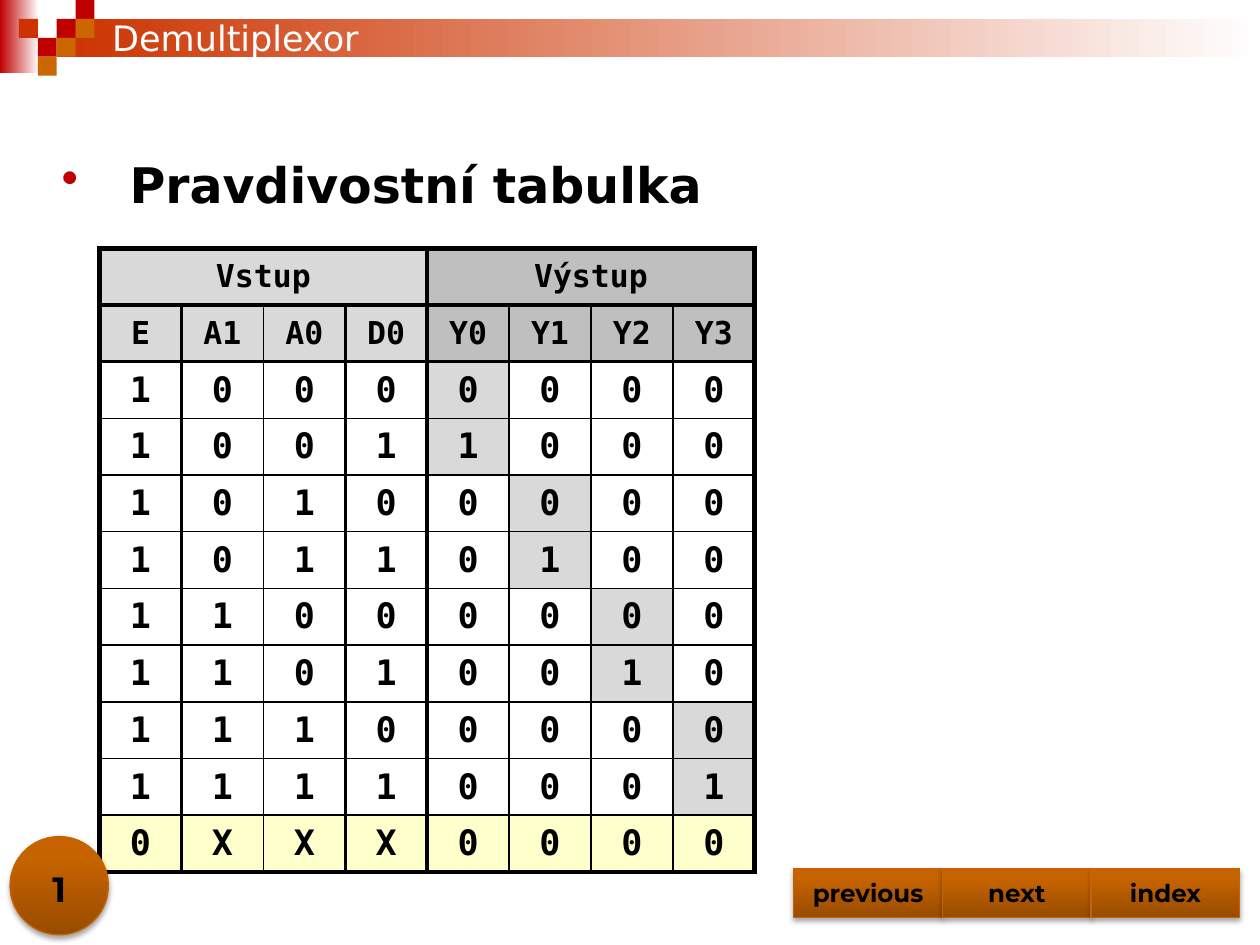
import itertools
from dataclasses import dataclass

import lxml.etree
import pptx
import pptx.dml.color
import pptx.enum.shapes
import pptx.enum.text
import pptx.oxml
import pptx.oxml.ns
import pptx.presentation
import pptx.shapes.autoshape
import pptx.shapes.base
import pptx.slide
import pptx.table
import pptx.text.text
import pptx.util

SLIDE_WIDTH = pptx.util.Inches(10)
SLIDE_HEIGHT = pptx.util.Inches(7.5)
SHAPES = pptx.enum.shapes.MSO_SHAPE
ALIGN = pptx.enum.text.PP_ALIGN
ANCHOR = pptx.enum.text.MSO_ANCHOR
NAMESPACE = pptx.oxml.ns.nsdecls("a")
COLUMN, ROW = 6.5, 6
PIXEL_WIDTH, PIXEL_HEIGHT = 1.5, 2
TABLE_LEFT, TABLE_TOP = 7.9, 26.27
BUTTON_WIDTH = 11.8
ROW_EDGES = [3, 2.25, 2.25, *[1] * 8, 3]
ORANGE_STOPS = [(0, "984C00"), (80, "C66300"), (100, "C76300")]


@dataclass
class Box:
    """Position and size in percent of the slide."""
    left: float
    top: float
    width: float
    height: float


@dataclass
class Style:
    font: str
    size: float
    color: str = "000000"
    bold: bool = True


@dataclass
class Pixel:
    column: int
    row: int
    color: str


@dataclass
class Half:
    heading: str
    names: list[str]
    values: list[list[str]]
    header_color: str
    column_edges: list[float]
    marks_address: bool


PIXELS = [
    Pixel(3, 1, "C00000"), Pixel(4, 0, "C00000"), Pixel(4, 1, "CC6600"),
    Pixel(2, 2, "C00000"), Pixel(1, 1, "CC3300"), Pixel(3, 2, "CC6600"),
    Pixel(2, 3, "CC6600"),
]
BUTTON_STYLE = Style("Montserrat", 14)


def rgb(color: str) -> pptx.dml.color.RGBColor:
    return pptx.dml.color.RGBColor.from_string(color)


def lengths(box: Box) -> tuple[int, int, int, int]:
    return (int(SLIDE_WIDTH * box.left / 100), int(SLIDE_HEIGHT * box.top / 100),
            int(SLIDE_WIDTH * box.width / 100), int(SLIDE_HEIGHT * box.height / 100))


def write(frame: pptx.text.text.TextFrame, text: str, style: Style,
          align: ALIGN = ALIGN.CENTER, anchor: ANCHOR = ANCHOR.MIDDLE) -> None:
    frame.word_wrap = True
    frame.vertical_anchor = anchor
    para = frame.paragraphs[0]
    para.alignment = align
    span = para.add_run()
    span.text = text
    span.font.name = style.font
    span.font.size = pptx.util.Pt(style.size)
    span.font.bold = style.bold
    span.font.color.rgb = rgb(style.color)


def add_block(page: pptx.slide.Slide, kind: SHAPES, box: Box) -> pptx.shapes.autoshape.Shape:
    shape = page.shapes.add_shape(kind, *lengths(box))
    shape.shadow.inherit = False
    shape.line.fill.background()
    return shape


def fill_gradient(shape: pptx.shapes.autoshape.Shape, stops: list[tuple[int, str]],
                  clockwise: int) -> None:
    shape.fill.gradient()
    gradient = shape._element.spPr.find(pptx.oxml.ns.qn("a:gradFill"))
    stop_list = gradient.find(pptx.oxml.ns.qn("a:gsLst"))
    for stop in list(stop_list):
        stop_list.remove(stop)
    for place, color in stops:
        stop_list.append(pptx.oxml.parse_xml(
            f'<a:gs {NAMESPACE} pos="{place * 1000}"><a:srgbClr val="{color}"/></a:gs>'))
    gradient.find(pptx.oxml.ns.qn("a:lin")).set("ang", str(clockwise * 60000))


def add_orange(page: pptx.slide.Slide, kind: SHAPES, box: Box) -> pptx.shapes.autoshape.Shape:
    shape = add_block(page, kind, box)
    fill_gradient(shape, ORANGE_STOPS, 270)
    shape.line.color.rgb = rgb("C86400")
    shape.line.width = pptx.util.Pt(0.75)
    effects = shape._element.spPr.find(pptx.oxml.ns.qn("a:effectLst"))
    effects.append(pptx.oxml.parse_xml(
        f'<a:outerShdw {NAMESPACE} blurRad="{pptx.util.Pt(3.1)}" dist="{pptx.util.Pt(1.8)}" '
        'dir="5400000" rotWithShape="0"><a:srgbClr val="000000"><a:alpha val="35000"/>'
        '</a:srgbClr></a:outerShdw>'))
    return shape


def add_text(page: pptx.slide.Slide, box: Box, text: str, style: Style,
             align: ALIGN, anchor: ANCHOR) -> pptx.shapes.autoshape.Shape:
    shape = page.shapes.add_textbox(*lengths(box))
    write(shape.text_frame, text, style, align, anchor)
    return shape


def set_borders(cell: pptx.table._Cell, left: float, right: float,
                top: float, bottom: float) -> None:
    properties = cell._tc.get_or_add_tcPr()
    for index, (side, width) in enumerate(zip("LRTB", (left, right, top, bottom))):
        properties.insert(index, pptx.oxml.parse_xml(
            f'<a:ln{side} {NAMESPACE} w="{pptx.util.Pt(width)}"><a:solidFill>'
            f'<a:srgbClr val="000000"/></a:solidFill></a:ln{side}>'))


def cell_color(half: Half, row: int, column: int) -> str:
    if row < 2:
        return half.header_color
    if row == len(ROW_EDGES) - 2:
        return "FFFFCC"
    return "D9D9D9" if half.marks_address and (row - 2) // 2 == column else "FFFFFF"


def add_half(page: pptx.slide.Slide, half: Half, left: float) -> None:
    rows = [[half.heading, "", "", ""], half.names, *half.values]
    box = Box(left, TABLE_TOP, COLUMN * 4, ROW * len(rows))
    table = page.shapes.add_table(len(rows), 4, *lengths(box)).table
    table.first_row = table.horz_banding = False
    table.cell(0, 0).merge(table.cell(0, 3))
    edges = half.column_edges
    for row, texts in enumerate(rows):
        for column, text in enumerate(texts):
            cell = table.cell(row, column)
            if cell.is_spanned:
                continue
            cell.fill.solid()
            cell.fill.fore_color.rgb = rgb(cell_color(half, row, column))
            end = 4 if cell.is_merge_origin else column + 1
            set_borders(cell, edges[column], edges[end], ROW_EDGES[row], ROW_EDGES[row + 1])
            cell.vertical_anchor = ANCHOR.MIDDLE
            write(cell.text_frame, text, Style("DejaVu Sans Mono", 18 if row < 2 else 20))


def truth_tables() -> list[Half]:
    inputs, outputs = [], []
    for high, low, data in itertools.product((0, 1), repeat=3):
        inputs.append([str(bit) for bit in (1, high, low, data)])
        outputs.append([str(data if line == 2 * high + low else 0) for line in range(4)])
    inputs.append(["0", "X", "X", "X"])
    outputs.append(["0"] * 4)
    return [Half("Vstup", ["E", "A1", "A0", "D0"], inputs, "D9D9D9", [3, 2.25, 1, 2.25, 1], False),
            Half("Výstup", ["Y0", "Y1", "Y2", "Y3"], outputs, "BFBFBF", [3, 1, 1, 1, 3], True)]


def add_header(page: pptx.slide.Slide) -> None:
    for box, color in ((Box(0, 0, 3.1, 7.73), "C00000"), (Box(4.5, 2, 95.5, 4), "CC3300")):
        fill_gradient(add_block(page, SHAPES.RECTANGLE, box), [(0, color), (100, "FFFFFF")], 0)
    for pixel in PIXELS:
        box = Box(pixel.column * PIXEL_WIDTH, pixel.row * PIXEL_HEIGHT, PIXEL_WIDTH, PIXEL_HEIGHT)
        square = add_block(page, SHAPES.RECTANGLE, box)
        square.fill.solid()
        square.fill.fore_color.rgb = rgb(pixel.color)
    title = page.shapes.title
    title.left, title.top, title.width, title.height = lengths(Box(7.9, 1.07, 85, 5.87))
    write(title.text_frame, "Demultiplexor", Style("DejaVu Sans", 20, "FFFFFF", False), ALIGN.LEFT)
    page.shapes._spTree.append(title._element)


def add_bullet(page: pptx.slide.Slide) -> None:
    shape = add_text(page, Box(3.9, 15.73, 96.1, 7.6), "Pravdivostní tabulka",
                     Style("DejaVu Sans", 28), ALIGN.LEFT, ANCHOR.TOP)
    properties = shape.text_frame.paragraphs[0]._p.get_or_add_pPr()
    indent = pptx.util.Inches(0.54)
    properties.set("marL", str(indent))
    properties.set("indent", str(-indent))
    color = lxml.etree.SubElement(properties, pptx.oxml.ns.qn("a:buClr"))
    lxml.etree.SubElement(color, pptx.oxml.ns.qn("a:srgbClr"), val="C00000")
    lxml.etree.SubElement(properties, pptx.oxml.ns.qn("a:buChar"), char="•")


def main() -> None:
    deck = pptx.Presentation()
    deck.slide_width, deck.slide_height = SLIDE_WIDTH, SLIDE_HEIGHT
    page = deck.slides.add_slide(deck.slide_layouts.get_by_name("Title Only"))
    add_header(page)
    for index, half in enumerate(truth_tables()):
        add_half(page, half, TABLE_LEFT + index * 4 * COLUMN)
    add_bullet(page)
    add_orange(page, SHAPES.OVAL, Box(0.8, 88.53, 7.8, 10.4))
    add_text(page, Box(0, 90.27, 9.4, 6.67), "1", Style("Montserrat", 20),
             ALIGN.CENTER, ANCHOR.BOTTOM)
    for index, label in enumerate(("previous", "next", "index")):
        box = Box(63 + index * BUTTON_WIDTH, 91.87, BUTTON_WIDTH, 5.2)
        button = add_orange(page, SHAPES.ACTION_BUTTON_CUSTOM, box)
        write(button.text_frame, label, BUTTON_STYLE)
    deck.save("out.pptx")


if __name__ == "__main__":
    main()
